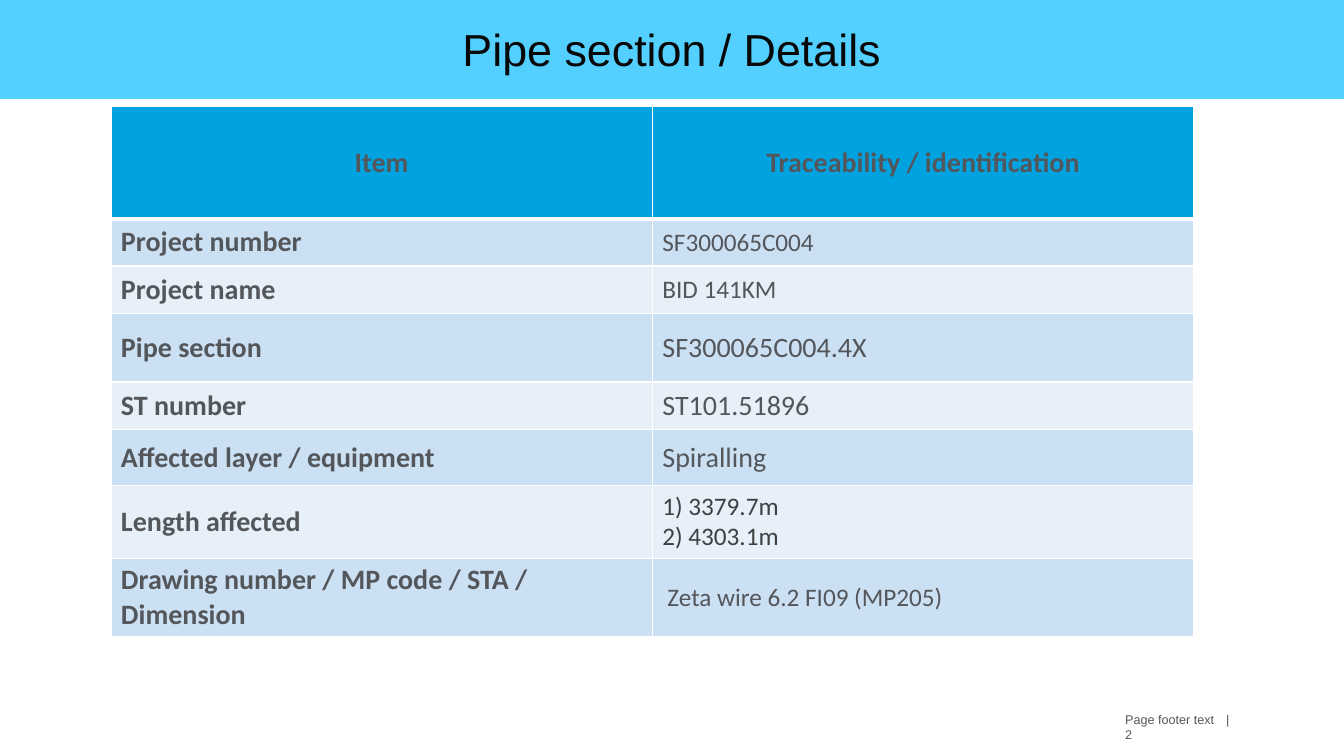
from lxml import etree
from pptx import Presentation
from pptx.dml.color import RGBColor
from pptx.enum.shapes import MSO_SHAPE
from pptx.enum.text import MSO_ANCHOR, PP_ALIGN
from pptx.oxml.ns import qn
from pptx.util import Inches, Pt

RECT = MSO_SHAPE.RECTANGLE
MIDDLE = MSO_ANCHOR.MIDDLE
LEFT, CENTER = PP_ALIGN.LEFT, PP_ALIGN.CENTER

GREY, DARK_GREY = "53565A", "3E4043"
HEADER_FILL, BANDS = "00A3E0", ("CCE0F3", "E7F0F9")

HEADINGS = ("Item", "Traceability / identification")
HEADER_HEIGHT = 1.11
# Item, value, value size, value colour, row height
DETAILS = [
    ("Project number", "SF300065C004", 18, GREY, 0.47),
    ("Project name", "BID 141KM", 18, GREY, 0.47),
    ("Pipe section", "SF300065C004.4X", 20, GREY, 0.68),
    ("ST number", "ST101.51896", 20, GREY, 0.47),
    ("Affected layer / equipment", "Spiralling", 20, GREY, 0.56),
    ("Length affected", "1) 3379.7m\n2) 4303.1m", 18, DARK_GREY, 0.72),
    ("Drawing number / MP code / STA / Dimension",
     "Zeta wire 6.2 FI09 (MP205)", 18, GREY, 0.78),
]


def rgb(value):
    return RGBColor.from_string(value)


def write(tf, text, font, size, color, bold=False, align=LEFT):
    tf.text = text
    for p in tf.paragraphs:
        p.alignment = align
        for r in p.runs:
            r.font.name = font
            r.font.size = Pt(size)
            r.font.bold = bold
            r.font.color.rgb = rgb(color)


def set_borders(cell, top=1, bottom=1):
    tc_pr = cell._tc.get_or_add_tcPr()
    for side, width in (("L", 1), ("R", 1), ("T", top), ("B", bottom)):
        ln = etree.SubElement(tc_pr, qn(f"a:ln{side}"), w=str(Pt(width)))
        fill = etree.SubElement(ln, qn("a:solidFill"))
        etree.SubElement(fill, qn("a:srgbClr"), val="FFFFFF")


def fill_cell(cell, text, size, color, fill, bold, align=LEFT, top=1, bottom=1):
    set_borders(cell, top, bottom)
    cell.fill.solid()
    cell.fill.fore_color.rgb = rgb(fill)
    cell.vertical_anchor = MIDDLE
    write(cell.text_frame, text, "Calibri", size, color, bold, align)


def add_title(s, x, y, w, h):
    sp = s.shapes.add_shape(RECT, Inches(x), Inches(y), Inches(w), Inches(h))
    sp.shadow.inherit = False
    sp.fill.solid()
    sp.fill.fore_color.rgb = rgb("53D0FF")
    sp.line.fill.background()
    sp.text_frame.vertical_anchor = MIDDLE
    write(sp.text_frame, "Pipe section / Details", "Arial", 32, "080808", align=CENTER)


def add_details(s, x, y, w):
    heights = [HEADER_HEIGHT] + [row[-1] for row in DETAILS]
    frame = s.shapes.add_table(len(heights), 2, Inches(x), Inches(y),
                               Inches(w), Inches(sum(heights)))
    table = frame.table
    for column in table.columns:
        column.width = Inches(w / 2)
    for row, height in zip(table.rows, heights):
        row.height = Inches(height)

    # Header row
    for col, heading in enumerate(HEADINGS):
        fill_cell(table.cell(0, col), heading, 20, GREY, HEADER_FILL, True, CENTER, bottom=3)

    # Banded detail rows
    for i, (item, value, size, color, _) in enumerate(DETAILS):
        band, top = BANDS[i % 2], 1 if i else 3
        fill_cell(table.cell(i + 1, 0), item, 20, GREY, band, True, top=top)
        fill_cell(table.cell(i + 1, 1), value, size, color, band, False, top=top)
    table.cell(len(DETAILS), 1).margin_left = Inches(0.15)


def add_footer(s, x, y, w, h):
    tf = s.shapes.add_textbox(Inches(x), Inches(y), Inches(w), Inches(h)).text_frame
    tf.word_wrap = True
    tf.margin_left = Inches(2.04)
    tf.margin_right = 0
    # Tab stops for the divider and the page number
    tabs = etree.SubElement(tf.paragraphs[0]._p.get_or_add_pPr(), qn("a:tabLst"))
    for stop in (0.98, 1.08):
        etree.SubElement(tabs, qn("a:tab"), pos=str(Inches(stop)), algn="l")
    write(tf, "Page footer text\t|\t2", "Arial", 9, GREY)


def main():
    prs = Presentation()
    prs.slide_width, prs.slide_height = Inches(13.33), Inches(7.5)
    s = prs.slides.add_slide(prs.slide_layouts[6])
    add_footer(s, 9.12, 7.01, 3.3, 0.4)
    add_details(s, 1.1, 1.06, 10.74)
    add_title(s, 0, -0.01, 13.33, 0.99)
    prs.save("out.pptx")


if __name__ == "__main__":
    main()
